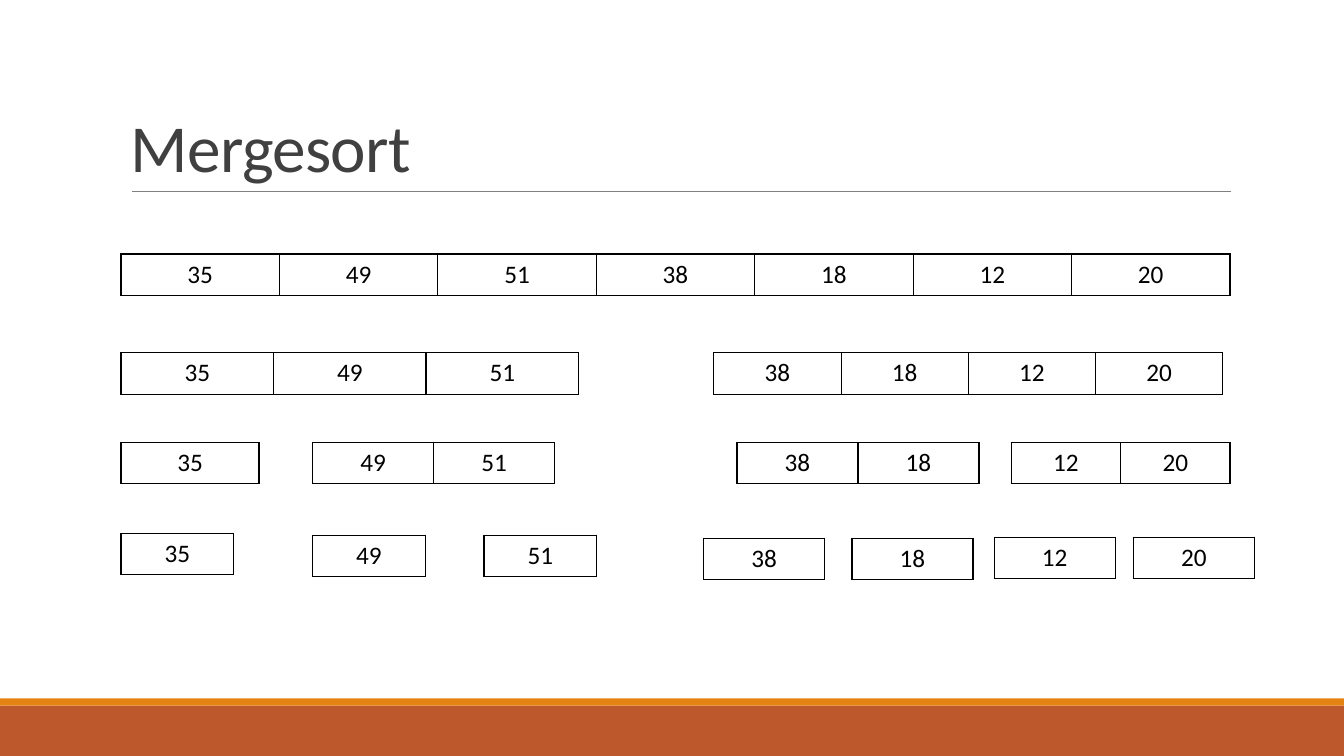
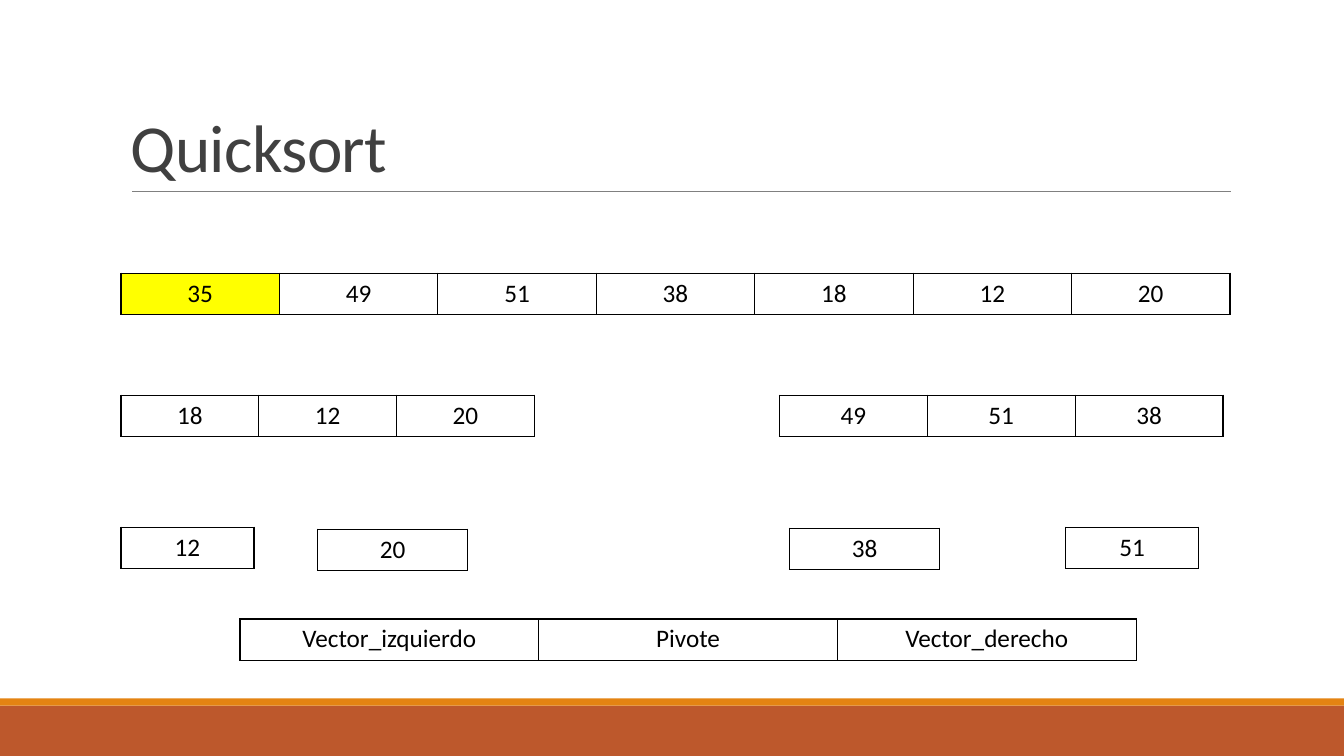
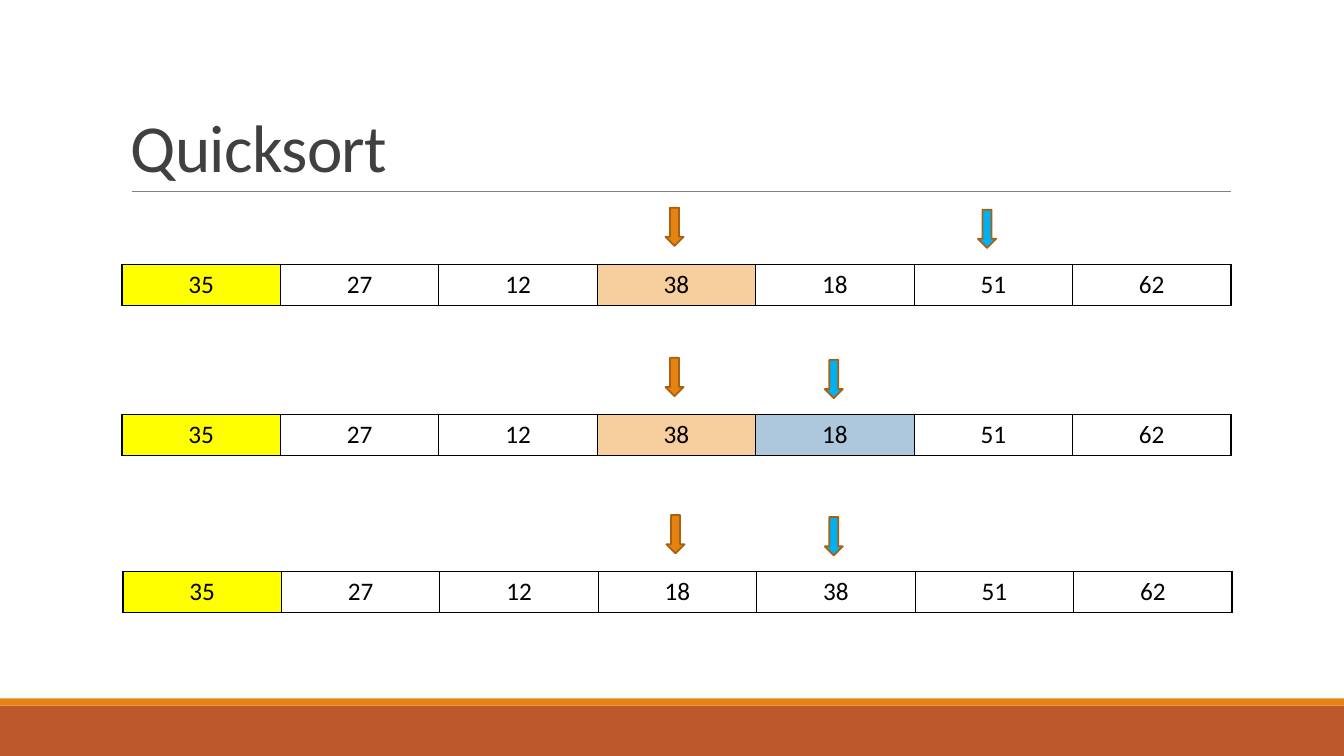
from lxml import etree
from pptx import Presentation
from pptx.dml.color import RGBColor
from pptx.enum.shapes import MSO_CONNECTOR, MSO_SHAPE
from pptx.enum.text import MSO_ANCHOR, PP_ALIGN
from pptx.oxml.ns import qn
from pptx.util import Inches, Pt

RECTANGLE = MSO_SHAPE.RECTANGLE
DOWN_ARROW = MSO_SHAPE.DOWN_ARROW
STRAIGHT = MSO_CONNECTOR.STRAIGHT
BOTTOM = MSO_ANCHOR.BOTTOM
CENTER = PP_ALIGN.CENTER

FONT = "Calibri"
COLORS = {
    "title": "404040",
    "rule": "808080",
    "footer": "BD582C",
    "accent": "E48312",
    "ink": "000000",
    "pivot": "FFFF00",
    "left_cell": "F7CE9D",
    "right_cell": "ADC8DD",
    "right_arrow": "00B0F0",
    "arrow_edge": "A9610D",
}
SLIDE_W, SLIDE_H = 13.33, 7.5
FOOTER_H, STRIPE_H = 0.5, 0.07
TITLE_BOX = (1.2, 0.31, 11, 1.59)
ROW_H = 0.41
FULL_W = 11

MERGESORT_VECTORS = [
    (1.2, 2.52, FULL_W, "35 49 51 38 18 12 20"),
    (1.2, 3.5, 4.54, "35 49 51"),
    (7.08, 3.5, 5.05, "38 18 12 20"),
    (1.2, 4.39, 1.37, "35"),
    (3.1, 4.39, 2.4, "49 51"),
    (7.31, 4.39, 2.4, "38 18"),
    (10.03, 4.39, 2.17, "12 20"),
    (1.2, 5.29, 1.12, "35"),
    (3.1, 5.31, 1.12, "49"),
    (4.8, 5.31, 1.12, "51"),
    (6.98, 5.34, 1.2, "38"),
    (8.45, 5.34, 1.2, "18"),
    (9.86, 5.33, 1.2, "12"),
    (11.24, 5.33, 1.2, "20"),
]
QUICKSORT_VECTORS = [
    (1.2, 2.71, FULL_W, "35 49 51 38 18 12 20", {0: "pivot"}),
    (1.2, 3.92, 4.1, "18 12 20"),
    (7.73, 3.92, 4.4, "49 51 38"),
    (1.2, 5.23, 1.32, "12"),
    (3.15, 5.25, 1.49, "20"),
    (7.83, 5.24, 1.49, "38"),
    (10.57, 5.23, 1.32, "51"),
    (2.38, 6.14, 8.89, "Vector_izquierdo Pivote Vector_derecho"),
]
PARTITION_STEPS = [
    (1.21, 2.62, "35 27 12 38 18 51 62", {0: "pivot", 3: "left_cell"}, 8.49),
    (1.21, 4.11, "35 27 12 38 18 51 62",
     {0: "pivot", 3: "left_cell", 4: "right_cell"}, 6.97),
    (1.22, 5.67, "35 27 12 18 38 51 62", {0: "pivot"}, 6.96),
]
LEFT_ARROW_X = 5.39


def rgb(name):
    """Return the named colour."""
    return RGBColor.from_string(COLORS[name])


def add_text(paragraph, text, size, color):
    """Add one formatted run and return it."""
    run = paragraph.add_run()
    run.text = text
    run.font.name = FONT
    run.font.size = Pt(size)
    run.font.color.rgb = rgb(color)
    return run


def add_solid(slide, preset, box, fill, edge=None):
    """Add a filled shape, outlined only when an edge colour is given."""
    solid = slide.shapes.add_shape(preset, *map(Inches, box))
    solid.shadow.inherit = False
    solid.fill.solid()
    solid.fill.fore_color.rgb = rgb(fill)
    if edge:
        solid.line.color.rgb = rgb(edge)
        solid.line.width = Pt(1.25)
    else:
        solid.line.fill.background()


def add_footer(slide):
    """Draw the two bands along the bottom of the slide."""
    top = SLIDE_H - FOOTER_H
    add_solid(slide, RECTANGLE, (0, top, SLIDE_W, FOOTER_H), "footer")
    add_solid(slide, RECTANGLE, (0, top - STRIPE_H, SLIDE_W, STRIPE_H), "accent")


def add_title(slide, title, box):
    """Write the title at the foot of its box, with a rule under it."""
    left, top, width, height = box
    base = Inches(top + height)
    rule = slide.shapes.add_connector(
        STRAIGHT, Inches(left + 0.11), base, Inches(left + width + 0.01), base)
    rule.line.color.rgb = rgb("rule")
    rule.line.width = Pt(0.5)
    etree.SubElement(rule._element.spPr, qn("a:effectLst"))

    frame = slide.shapes.add_textbox(*map(Inches, box)).text_frame
    frame.word_wrap = True
    frame.vertical_anchor = BOTTOM
    heading = frame.paragraphs[0]
    heading.line_spacing = 0.85
    run = add_text(heading, title, 48, "title")
    run._r.get_or_add_rPr().set("spc", "-50")


def add_borders(cell):
    """Give a cell a thin dark line on all four sides."""
    properties = cell._tc.get_or_add_tcPr()
    for side in ("lnL", "lnR", "lnT", "lnB"):
        line = etree.SubElement(properties, qn(f"a:{side}"), w=str(Pt(1)))
        fill = etree.SubElement(line, qn("a:solidFill"))
        etree.SubElement(fill, qn("a:srgbClr"), val=COLORS["ink"])


def add_vector(slide, left, top, width, values, marks=None):
    """Draw a vector as a one-row table of equal cells, some of them marked."""
    entries = values.split()
    marks = marks or {}
    vector = slide.shapes.add_table(
        1, len(entries), *map(Inches, (left, top, width, ROW_H))).table
    vector.first_row = False
    vector.horz_banding = False
    for index, entry in enumerate(entries):
        vector.columns[index].width = Inches(width / len(entries))
        cell = vector.cell(0, index)
        add_borders(cell)
        if index in marks:
            cell.fill.solid()
            cell.fill.fore_color.rgb = rgb(marks[index])
        else:
            cell.fill.background()
        paragraph = cell.text_frame.paragraphs[0]
        paragraph.alignment = CENTER
        add_text(paragraph, entry, 18, "ink")


def add_partition_step(slide, left, top, values, marks, right_arrow_x):
    """Draw a full vector with its left and right index arrows above it."""
    add_vector(slide, left, top, FULL_W, values, marks)
    for offset, rise, fill in ((LEFT_ARROW_X, 0.56, "accent"),
                               (right_arrow_x, 0.54, "right_arrow")):
        add_solid(slide, DOWN_ARROW, (left + offset, top - rise, 0.18, 0.38),
                  fill, "arrow_edge")


def add_sort_slide(deck, title, draw_part, parts):
    """Add a slide with the shared frame and draw each of its parts."""
    slide = deck.slides.add_slide(deck.slide_layouts[6])
    add_footer(slide)
    add_title(slide, title, TITLE_BOX)
    for part in parts:
        draw_part(slide, *part)


def main():
    """Build and save the presentation."""
    deck = Presentation()
    deck.slide_width = Inches(SLIDE_W)
    deck.slide_height = Inches(SLIDE_H)
    add_sort_slide(deck, "Mergesort", add_vector, MERGESORT_VECTORS)
    add_sort_slide(deck, "Quicksort", add_vector, QUICKSORT_VECTORS)
    add_sort_slide(deck, "Quicksort", add_partition_step, PARTITION_STEPS)
    deck.save("out.pptx")


if __name__ == "__main__":
    main()
